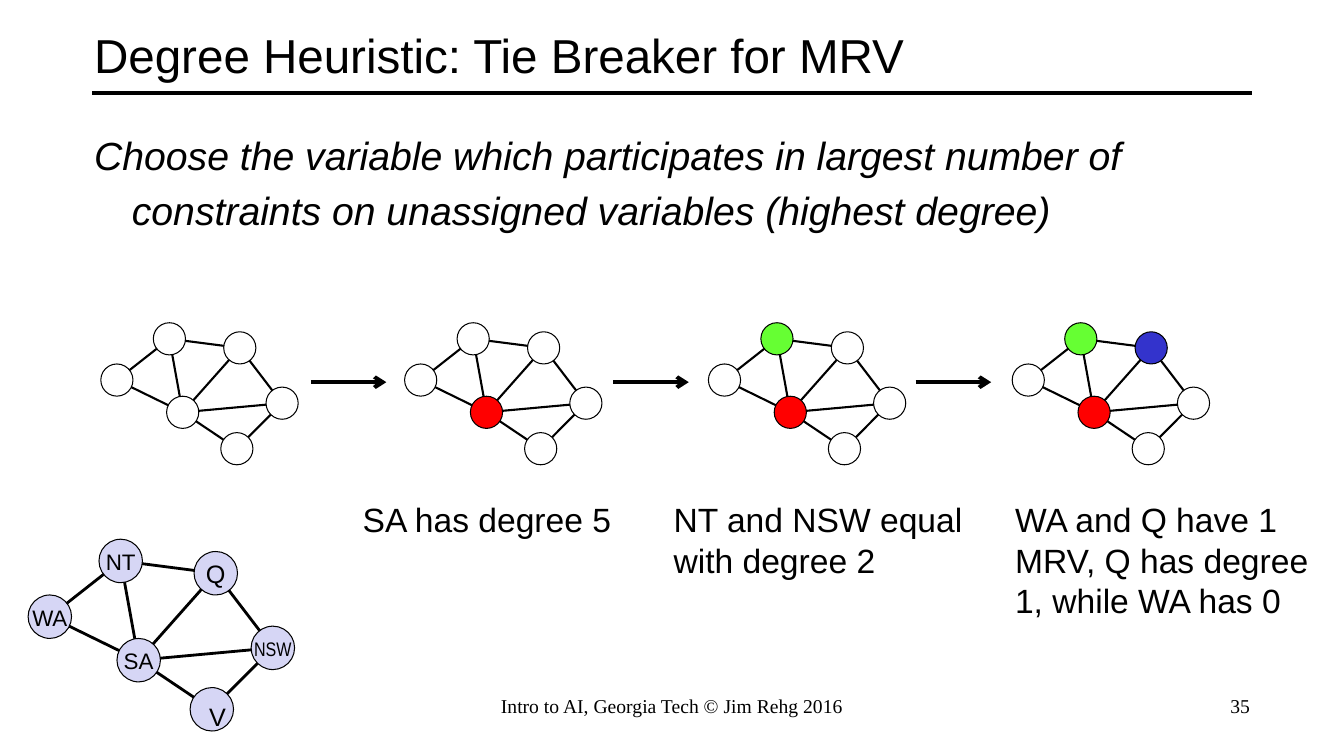
from dataclasses import dataclass, field

from lxml.etree import SubElement
from pptx import Presentation
from pptx.dml.color import RGBColor
from pptx.enum.shapes import MSO_CONNECTOR, MSO_SHAPE
from pptx.enum.text import MSO_ANCHOR, MSO_AUTO_SIZE, PP_ALIGN
from pptx.oxml.ns import qn
from pptx.shapes.connector import Connector
from pptx.shapes.shapetree import GroupShapes, SlideShapes
from pptx.text.text import TextFrame
from pptx.util import Pt

BLACK = RGBColor(0x00, 0x00, 0x00)
WHITE = RGBColor(0xFF, 0xFF, 0xFF)
RED = RGBColor(0xFF, 0x00, 0x00)
GREEN = RGBColor(0x66, 0xFF, 0x33)
BLUE = RGBColor(0x33, 0x33, 0xCC)
LAVENDER = RGBColor(0xD6, 0xD6, 0xF5)

Shapes = SlideShapes | GroupShapes


@dataclass
class Node:
    """A region: centre relative to WA, and how its label is set."""
    name: str
    x: float
    y: float
    width: float
    size: float = 16
    font: str = "Arial"
    dx: float = 0
    dy: float = 0


@dataclass
class Graph:
    """A map graph placed by the centre of WA."""
    x: float
    y: float
    colors: dict[str, RGBColor] = field(default_factory=dict)
    fill: RGBColor = WHITE
    scale: float = 1
    edge_width: float = 1.5
    labelled: bool = False


@dataclass
class Caption:
    text: str
    left: float
    top: float
    width: float
    height: float
    size: float = 24
    font: str = "Arial"
    align: PP_ALIGN = PP_ALIGN.LEFT


DIAMETER = 23
NODES = [
    Node("WA", 0, 0, 39.6),
    Node("NT", 37.5, -29.5, 36),
    Node("Q", 87.8, -23, 28, size=18),
    Node("NSW", 118, 16.5, 42, size=14, font="Arial Narrow"),
    Node("V", 85.7, 49, 26.5, size=18, dx=4, dy=4.5),
    Node("SA", 47, 23, 36),
]
EDGES = [("WA", "NT"), ("WA", "SA"), ("NT", "SA"), ("SA", "V"), ("V", "NSW"),
         ("NSW", "Q"), ("Q", "NT"), ("SA", "Q"), ("SA", "NSW")]

GRAPH_LEFT, GRAPH_TOP, GRAPH_PITCH = 83.5, 271.5, 217
STEPS = [{}, {"SA": RED}, {"SA": RED, "NT": GREEN},
         {"SA": RED, "NT": GREEN, "Q": BLUE}]
ARROW_LEFT, ARROW_TOP, ARROW_PITCH, ARROW_LENGTH = 222, 273, 216, 54

CAPTIONS = [
    Caption("Intro to AI, Georgia Tech © Jim Rehg 2016", 328, 492, 304, 36,
            14, "Times New Roman", PP_ALIGN.CENTER),
    Caption("35", 688, 492, 212, 36, 14, "Times New Roman", PP_ALIGN.RIGHT),
    Caption("NT and NSW equal with degree 2", 474, 353, 222.5, 65.5),
    Caption("SA has degree 5", 252, 352.5, 199, 36),
    Caption("WA and Q have 1\vMRV, Q has degree 1, while WA has 0",
            718, 353, 236, 94.5),
]


def write(tf: TextFrame, text: str, *, size: float, font: str = "Arial",
          italic: bool = False, align: PP_ALIGN = PP_ALIGN.LEFT,
          anchor: MSO_ANCHOR = MSO_ANCHOR.TOP, wrap: bool = True) -> None:
    """Fill a frame; a newline starts a paragraph, a vertical tab a line."""
    tf.text = text
    tf.word_wrap = wrap
    tf.auto_size = MSO_AUTO_SIZE.NONE
    tf.vertical_anchor = anchor
    for p in tf.paragraphs:
        p.alignment = align
        for r in p.runs:
            r.font.size = Pt(size)
            r.font.name = font
            r.font.italic = italic
            r.font.color.rgb = BLACK


def add_line(shapes: Shapes, x1: float, y1: float, x2: float, y2: float,
             width: float) -> Connector:
    line = shapes.add_connector(MSO_CONNECTOR.STRAIGHT,
                                Pt(x1), Pt(y1), Pt(x2), Pt(y2))
    line.line.color.rgb = BLACK
    line.line.width = Pt(width)
    SubElement(line._element.spPr, qn("a:effectLst"))
    return line


def add_arrow(shapes: Shapes, x: float, y: float, length: float) -> None:
    arrow = add_line(shapes, x, y, x + length, y, 2.75)
    SubElement(arrow.line._get_or_add_ln(), qn("a:tailEnd"), type="arrow")


def add_graph(shapes: Shapes, graph: Graph) -> None:
    group = shapes.add_group_shape().shapes
    centres = {n.name: (graph.x + n.x * graph.scale,
                        graph.y + n.y * graph.scale) for n in NODES}
    for start, end in EDGES:
        add_line(group, *centres[start], *centres[end], graph.edge_width)
    d = DIAMETER * graph.scale
    for n in NODES:
        x, y = centres[n.name]
        sp = group.add_shape(MSO_SHAPE.OVAL, Pt(x - d / 2), Pt(y - d / 2),
                             Pt(d), Pt(d))
        sp.shadow.inherit = False
        sp.fill.solid()
        sp.fill.fore_color.rgb = graph.colors.get(n.name, graph.fill)
        sp.line.color.rgb = BLACK
        sp.line.width = Pt(0.75)
        if graph.labelled:
            height = n.size * 1.15 + 7.2
            box = group.add_textbox(Pt(x + n.dx - n.width / 2),
                                    Pt(y + n.dy - height / 2),
                                    Pt(n.width), Pt(height))
            write(box.text_frame, n.name, size=n.size, font=n.font,
                  align=PP_ALIGN.CENTER, wrap=False)


def main() -> None:
    prs = Presentation()
    prs.slide_width, prs.slide_height = Pt(960), Pt(540)
    slide = prs.slides.add_slide(prs.slide_layouts[1])
    shapes = slide.shapes

    add_line(shapes, 66, 66.5, 894, 66.5, 3)
    title, body = slide.placeholders
    title.left, title.top, title.width, title.height = (
        Pt(60), Pt(6), Pt(840), Pt(66))
    write(title.text_frame, "Degree Heuristic: Tie Breaker for MRV", size=34,
          anchor=MSO_ANCHOR.MIDDLE)

    body.left, body.top, body.width, body.height = (
        Pt(60), Pt(90), Pt(840), Pt(69))
    write(body.text_frame,
          "Choose the variable which participates in largest number of\n"
          "constraints on unassigned variables (highest degree)",
          size=28, italic=True)
    for p, indent in zip(body.text_frame.paragraphs, (-27, 0)):
        pPr = p._p.get_or_add_pPr()
        pPr.set("marL", str(Pt(27)))
        pPr.set("indent", str(Pt(indent)))
        SubElement(pPr, qn("a:buNone"))

    for i, colors in enumerate(STEPS):
        add_graph(shapes, Graph(GRAPH_LEFT + i * GRAPH_PITCH, GRAPH_TOP, colors))
    for i in range(len(STEPS) - 1):
        add_arrow(shapes, ARROW_LEFT + i * ARROW_PITCH, ARROW_TOP, ARROW_LENGTH)
    add_graph(shapes, Graph(35.6, 440.5, fill=LAVENDER, scale=1.35,
                            edge_width=2, labelled=True))

    for c in CAPTIONS:
        box = shapes.add_textbox(Pt(c.left), Pt(c.top), Pt(c.width), Pt(c.height))
        write(box.text_frame, c.text, size=c.size, font=c.font, align=c.align)

    prs.save("out.pptx")


if __name__ == "__main__":
    main()
